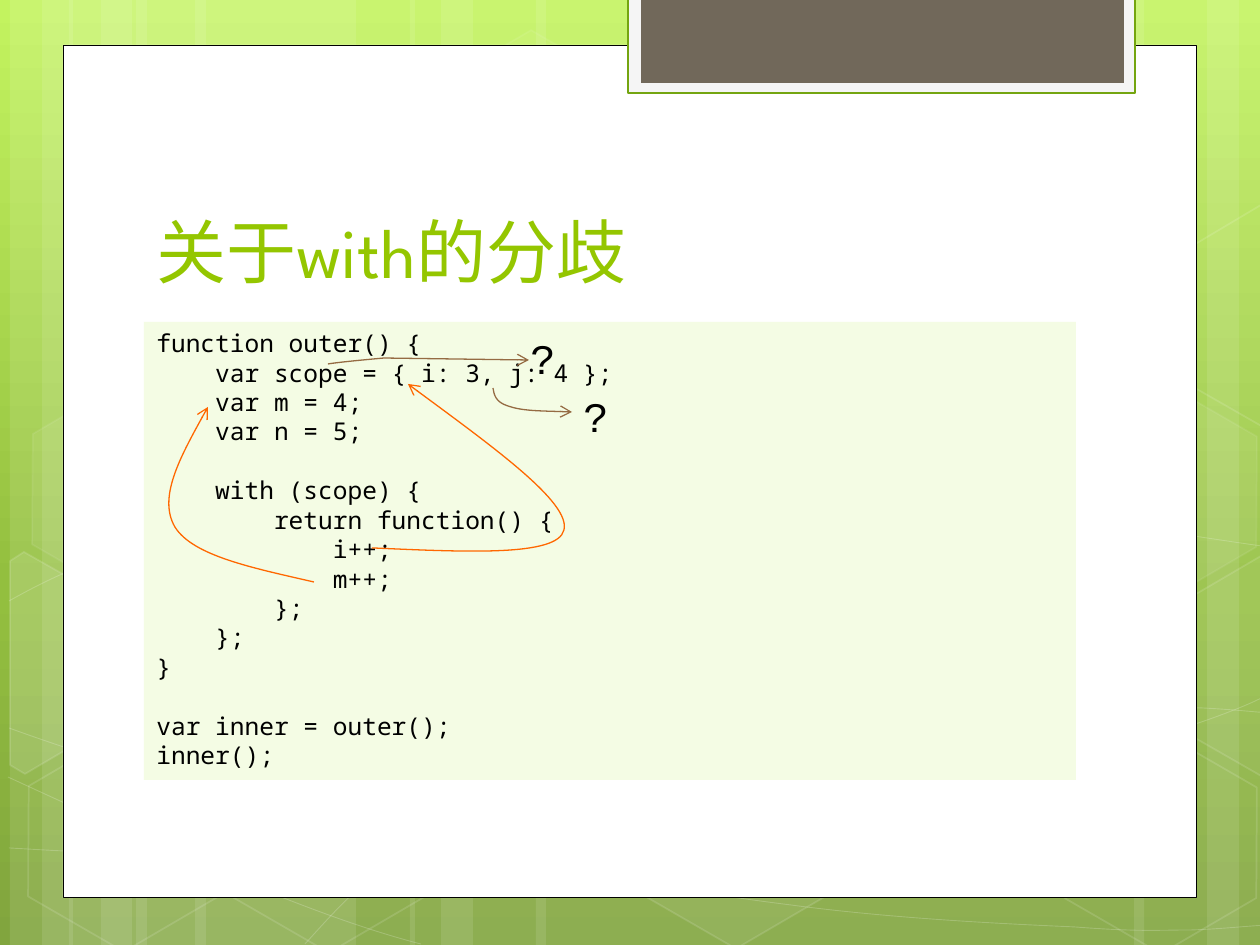
import math
from copy import deepcopy

from lxml import etree
from pptx import Presentation
from pptx import util as u
from pptx.dml.color import RGBColor
from pptx.enum import shapes, text
from pptx.oxml import ns

PX = 914400 / 126
STEPS = 40
TILT = 30
COLORS = {
    "white": "FFFFFF", "black": "000000", "title": "94C600", "code": "F4FCE4",
    "tab": "F5F5F5", "tab_edge": "74A510", "tab_core": "71685A",
    "closure": "FF6700", "unclear": "956B43",
}
BACKDROP = [(0, "C3F35F"), (0.62, "93BF3F"), (1, "81A53E")]
STRIPS = [
    (136, 220, 0), (10, 63, 0), (42, 105, 0), (195, 220, 0), (69, 63, 0), (101, 105, 0),
    (924, 220, 180), (1207, 63, 180), (1134, 105, 180),
    (536, 388, 0), (410, 63, 0), (441, 105, 0),
]
WAVES = [
    [(9, 848), (77, 852), (145, 856), (239, 854), (334, 853), (451, 851), (577, 838),
     (703, 825), (882, 801), (998, 777), (1113, 753), (1231, 716), (1269, 694)],
    [(9, 601), (45, 581), (82, 562), (152, 543), (224, 524), (326, 496), (437, 488),
     (549, 479), (685, 478), (824, 488), (963, 498), (1193, 537), (1269, 547)],
    [(8, 777), (160, 847), (311, 916), (421, 944)],
    [(9, 728), (48, 742), (88, 756), (161, 776), (234, 795), (344, 827), (450, 848),
     (554, 869), (687, 892), (791, 905), (896, 919), (1008, 924), (1075, 927),
     (1140, 932), (1158, 930), (1191, 930), (1223, 929), (1246, 926), (1269, 925)],
    [(305, 944), (328, 919), (350, 893), (381, 871), (411, 848), (454, 823), (489, 805),
     (524, 788), (546, 780), (592, 767), (638, 754), (722, 737), (766, 728),
     (811, 719), (818, 719), (857, 717), (896, 714), (958, 709), (1000, 708),
     (1045, 707), (1116, 708), (1116, 708), (1116, 708), (1201, 708), (1201, 708),
     (1223, 709), (1245, 711), (1256, 712), (1268, 713), (1264, 712), (1268, 713)],
]
HEXAGONS = [
    (421, 45, 4, 8), (626, 742, 6, 12), (14, 745, 0, 12), (18, 393, 7, 8),
    (219, 746, 0, 12), (949, 571, 10, 12), (1051, 747, 0, 12), (1051, 396, 7, 8),
]
CUT_HEXAGONS = [
    ([(10, 561), (24, 552), (121, 607), (120, 718), (25, 774), (10, 765)], 10),
    ([(1167, 611), (1261, 556), (1271, 562), (1271, 772), (1263, 777), (1167, 722)], 4),
    ([(1167, 261), (1261, 205), (1273, 212), (1271, 422), (1263, 427), (1167, 372)], 0),
]
ARROWS = [
    ("closure", [(314, 582), (253, 568), (193, 556), (175, 527),
                 (158, 498), (183, 452), (208, 407)]),
    ("closure", [(372, 548), (465, 552), (558, 557), (564, 530),
                 (571, 503), (489, 444), (408, 384)]),
    ("unclear", [(328, 364), (339, 362), (384, 358), (384, 358),
                 (384, 358), (529, 360), (529, 360)]),
    ("unclear", [(493, 388), (494, 394), (495, 402), (508, 406),
                 (522, 411), (547, 411), (572, 412)]),
]
CODE = """function outer() {
    var scope = { i: 3, j: 4 };
    var m = 4;
    var n = 5;

    with (scope) {
        return function() {
            i++;
            m++;
        };
    };
}

var inner = outer();
inner();"""


def px(*lengths):
    """Turn pixel lengths into EMU."""
    return [u.Emu(round(length * PX)) for length in lengths]


def paint(fill, color, opacity=100):
    """Give a fill one colour, with opacity in percent."""
    if not (color and opacity):
        fill.background()
        return
    fill.solid()
    fill.fore_color.rgb = RGBColor.from_string(COLORS[color])
    if opacity < 100:
        tint = fill._xPr.find(ns.qn("a:solidFill") + "/" + ns.qn("a:srgbClr"))
        etree.SubElement(tint, ns.qn("a:alpha"), val=str(opacity * 1000))


def dress(part, fill=None, fill_opacity=100, line=None, line_opacity=100, weight=1):
    """Set the fill and outline of a shape and drop its shadow."""
    part.shadow.inherit = False
    paint(part.fill, fill, fill_opacity)
    paint(part.line.fill, line, line_opacity)
    if line:
        part.line.width = u.Pt(weight)
    return part


def add_preset(slide, kind, box, **style):
    """Add a preset shape in a pixel box."""
    return dress(slide.shapes.add_shape(kind, *px(*box)), **style)


def add_outline(slide, points, close=False, **style):
    """Add a straight-sided freeform through pixel points."""
    start, *rest = [px(*point) for point in points]
    builder = slide.shapes.build_freeform(*start)
    builder.add_line_segments(rest, close=close)
    return dress(builder.convert_to_shape(), **style)


def turn(x, y, degrees):
    """Rotate a point clockwise about the slide corner."""
    cos, sin = math.cos(math.radians(degrees)), math.sin(math.radians(degrees))
    return x * cos - y * sin, x * sin + y * cos


def add_tilted(slide, corners, **style):
    """Add a closed polygon whose frame is tilted like the hexagons."""
    part = add_outline(slide, [turn(*corner, -TILT) for corner in corners], True, **style)
    x, y = turn(part.left + part.width / 2, part.top + part.height / 2, TILT)
    part.left, part.top = round(x - part.width / 2), round(y - part.height / 2)
    part.rotation = TILT


def curve_range(knots, axis):
    """Return the start and length of a cubic chain along one axis."""
    values = [knots[0][axis]]
    for first in range(0, len(knots) - 1, 3):
        a, b, c, d = (knot[axis] for knot in knots[first:first + 4])
        for t in (step / STEPS for step in range(1, STEPS + 1)):
            s = 1 - t
            values.append(a * s ** 3 + 3 * b * t * s * s + 3 * c * t * t * s + d * t ** 3)
    return px(min(values), max(values) - min(values))


def add_curve(slide, knots, **style):
    """Add a chain of cubics; handles lying on both ends give a straight line."""
    curve = add_outline(slide, knots[::3], **style)
    (curve.left, curve.width), (curve.top, curve.height) = (
        curve_range(knots, axis) for axis in (0, 1))
    track = curve._element.find(".//" + ns.qn("a:path"))
    track.set("w", str(curve.width))
    track.set("h", str(curve.height))
    for step in list(track):
        track.remove(step)
    moves = [("a:moveTo", knots[:1])]
    for first in range(0, len(knots) - 1, 3):
        start, *bend = knots[first:first + 4]
        straight = bend[0] == start and bend[1] == bend[2]
        moves.append(("a:lnTo", bend[2:]) if straight else ("a:cubicBezTo", bend))
    for tag, points in moves:
        step = etree.SubElement(track, ns.qn(tag))
        for x, y in (px(*point) for point in points):
            etree.SubElement(step, ns.qn("a:pt"), x=str(x - curve.left), y=str(y - curve.top))
    return curve


def add_arrow(slide, color, knots):
    """Add a curved line that ends in an open arrowhead."""
    arrow = add_curve(slide, knots, line=color, weight=0.75)
    etree.SubElement(arrow.line._get_or_add_ln(), ns.qn("a:tailEnd"), type="arrow")


def write(holder, content, size, font, color, **frame_format):
    """Fill a shape with left-aligned text in one font."""
    frame = holder.text_frame
    frame.text = content
    for name, value in {"word_wrap": True, **frame_format}.items():
        setattr(frame, name, value)
    for paragraph in frame.paragraphs:
        paragraph.alignment = text.PP_ALIGN.LEFT
        for run in paragraph.runs:
            for name, value in {"size": u.Pt(size), "name": font}.items():
                setattr(run.font, name, value)
            run.font.color.rgb = RGBColor.from_string(COLORS[color])
        etree.SubElement(paragraph._p, ns.qn("a:endParaRPr"), sz=str(size * 100))


def add_backdrop(slide):
    """Paint the green gradient with its strips, waves and hexagons."""
    fill = slide.background.fill
    fill.gradient()
    fill.gradient_angle = 270
    stops = slide._element.find(".//" + ns.qn("a:gsLst"))
    stops.append(deepcopy(stops[0]))
    for stop, (position, color) in zip(fill.gradient_stops, BACKDROP):
        stop.position = position
        stop.color.rgb = RGBColor.from_string(color)
    for left, width, rotation in STRIPS:
        add_preset(slide, shapes.MSO_SHAPE.RECTANGLE, (left, 0, width, 945),
                   fill="white", fill_opacity=10).rotation = rotation
    for wave in WAVES:
        add_curve(slide, wave, line="white", line_opacity=20, weight=0.5)
    for left, top, fill_opacity, line_opacity in HEXAGONS:
        hexagon = add_preset(slide, shapes.MSO_SHAPE.HEXAGON, (left, top, 220, 192),
                             fill="white", fill_opacity=fill_opacity,
                             line="white", line_opacity=line_opacity)
        hexagon.rotation = TILT
        hexagon.adjustments[0] = 0.285
    for corners, opacity in CUT_HEXAGONS:
        add_tilted(slide, corners, fill="white", fill_opacity=opacity,
                   line="white", line_opacity=12)


def main():
    """Build the slide and save it."""
    deck = Presentation()
    deck.slide_width, deck.slide_height = px(1260, 945)
    slide = deck.slides.add_slide(deck.slide_layouts[6])
    box, fit = shapes.MSO_SHAPE.RECTANGLE, text.MSO_AUTO_SIZE.SHAPE_TO_FIT_TEXT
    add_backdrop(slide)
    add_preset(slide, box, (63, 45, 1134, 853), fill="white", line="black", weight=0.5)
    add_preset(slide, box, (628, -3, 507, 96), fill="tab", line="tab_edge", weight=1.25)
    add_preset(slide, box, (641, -3, 483, 86), fill="tab_core")
    write(slide.shapes.add_textbox(*px(144, 141, 968, 158)), "关于with的分歧", 40,
          "League Spartan", "title", vertical_anchor=text.MSO_ANCHOR.BOTTOM)
    write(add_preset(slide, box, (144, 322, 932, 458), fill="code"), CODE, 14,
          "Noto Sans Mono", "black", vertical_anchor=text.MSO_ANCHOR.TOP, auto_size=fit)
    for color, knots in ARROWS:
        add_arrow(slide, color, knots)
    for left, top in [(518, 326), (571, 384)]:
        write(slide.shapes.add_textbox(*px(left, top, 72, 63)), "?", 24,
              "Courier New", "black", auto_size=fit)
    deck.save("out.pptx")


if __name__ == "__main__":
    main()
